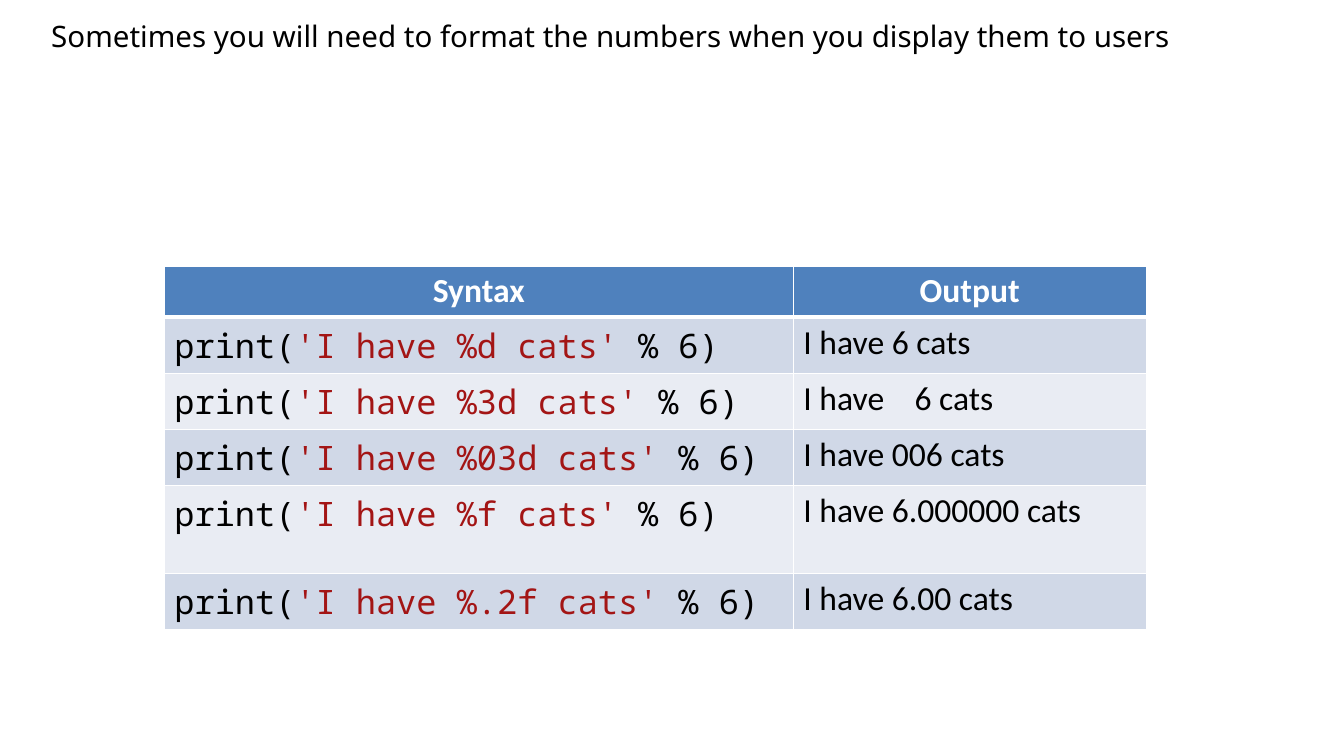
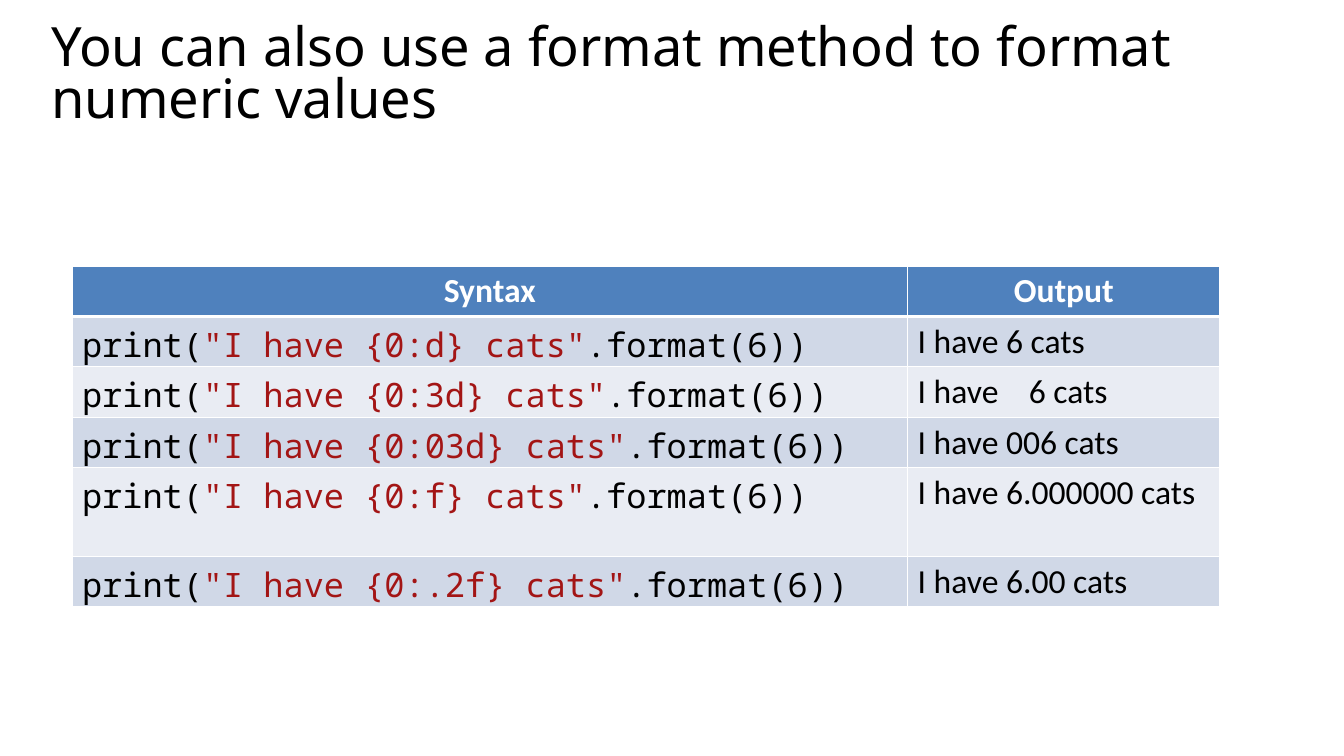
from pptx import Presentation
from pptx.dml.color import RGBColor
from pptx.enum.text import PP_ALIGN as Align
from pptx.oxml.ns import qn
from pptx.util import Pt
from lxml.etree import SubElement

# Colours and fonts
BLACK = RGBColor(0x00, 0x00, 0x00)
WHITE = RGBColor(0xFF, 0xFF, 0xFF)
STRING_RED = RGBColor(0xA3, 0x15, 0x15)
HEADER_BLUE = RGBColor(0x4F, 0x81, 0xBD)
BANDS = (RGBColor(0xD0, 0xD8, 0xE7), RGBColor(0xE9, 0xEC, 0xF3))
TITLE_FONT, BODY_FONT, CODE_FONT = "Noto Sans", "Calibri", "Noto Sans Mono"

# Layout in points
TITLE_BOX = (29.5, 14.4, 907.2, 83.5)
TABLE_TOP = 190
ROW_HEIGHTS = (35.3, 35.3, 35.3, 35.3, 63.4, 35.3)
THIN, THICK = 0.96, 3


class Deck:
    header = dict(name=BODY_FONT, size=Pt(24), bold=True)
    output = dict(name=BODY_FONT, size=Pt(24), bold=False)
    code = dict(name=CODE_FONT, size=Pt(24), bold=False)

    def __init__(self):
        self.prs = Presentation()
        self.prs.slide_width, self.prs.slide_height = Pt(960), Pt(540)

    def new_slide(self):
        self.s = self.prs.slides.add_slide(self.prs.slide_layouts[6])

    def run(self, p, text, color, fmt):
        r = p.add_run()
        r.text = text
        r.font.color.rgb = color
        for key, value in fmt.items():
            setattr(r.font, key, value)

    def title(self, text, size):
        sp = self.s.shapes.add_textbox(*map(Pt, TITLE_BOX))
        tf = sp.text_frame
        tf.word_wrap = True
        p = tf.paragraphs[0]
        p.line_spacing = 0.8
        self.run(p, text, BLACK, dict(name=TITLE_FONT, size=Pt(size)))

    def borders(self, cell, top, bottom):
        tc_pr = cell._tc.get_or_add_tcPr()
        for side, width in zip("LRTB", (THIN, THIN, top, bottom)):
            ln = SubElement(tc_pr, qn(f"a:ln{side}"), w=str(int(Pt(width))))
            fill = SubElement(ln, qn("a:solidFill"))
            SubElement(fill, qn("a:srgbClr"), val=str(WHITE))

    def cell(self, table, row, col, runs, fmt):
        cell = table.cell(row, col)
        self.borders(cell, THICK if row == 1 else THIN, THICK if row == 0 else THIN)
        cell.fill.solid()
        cell.fill.fore_color.rgb = BANDS[(row - 1) % 2] if row else HEADER_BLUE
        p = cell.text_frame.paragraphs[0]
        if row == 0:
            p.alignment = Align.CENTER
        for text, color in runs:
            self.run(p, text, color, fmt)

    def syntax_table(self, left, widths, examples):
        table = self.s.shapes.add_table(
            len(ROW_HEIGHTS), len(widths), Pt(left), Pt(TABLE_TOP),
            Pt(sum(widths)), Pt(sum(ROW_HEIGHTS))).table
        for column, width in zip(table.columns, widths):
            column.width = Pt(width)
        for row, height in zip(table.rows, ROW_HEIGHTS):
            row.height = Pt(height)
        for col, heading in enumerate(("Syntax", "Output")):
            self.cell(table, 0, col, [(heading, WHITE)], self.header)
        for row, (literal, ending, result) in enumerate(examples, 1):
            parts = [("print(", BLACK), (literal, STRING_RED), (ending, BLACK)]
            code = [(text.replace(" ", "\u00a0"), color) for text, color in parts]
            self.cell(table, row, 0, code, self.code)
            self.cell(table, row, 1, [(result, BLACK)], self.output)


# Format codes with the number each one shows
NUMBERS = {"d": "6", "3d": f"{6:4d}", "03d": "006", "f": "6.000000", ".2f": "6.00"}


def examples(literal, ending):
    return [(literal % code, ending, f"I have {number} cats")
            for code, number in NUMBERS.items()]


deck = Deck()

# Slide 1: percent operator
deck.new_slide()
deck.syntax_table(117.4, (449.3, 252), examples("'I have %%%s cats'", " % 6)"))
deck.title("Sometimes you will need to format the numbers "
           "when you display them to users", 21.1)

# Slide 2: format method
deck.new_slide()
deck.syntax_table(51.4, (596.9, 223.2),
                  examples('"I have {0:%s} cats"', ".format(6))"))
deck.title("You can also use a format method to format numeric values", 38.7)

deck.prs.save("out.pptx")
